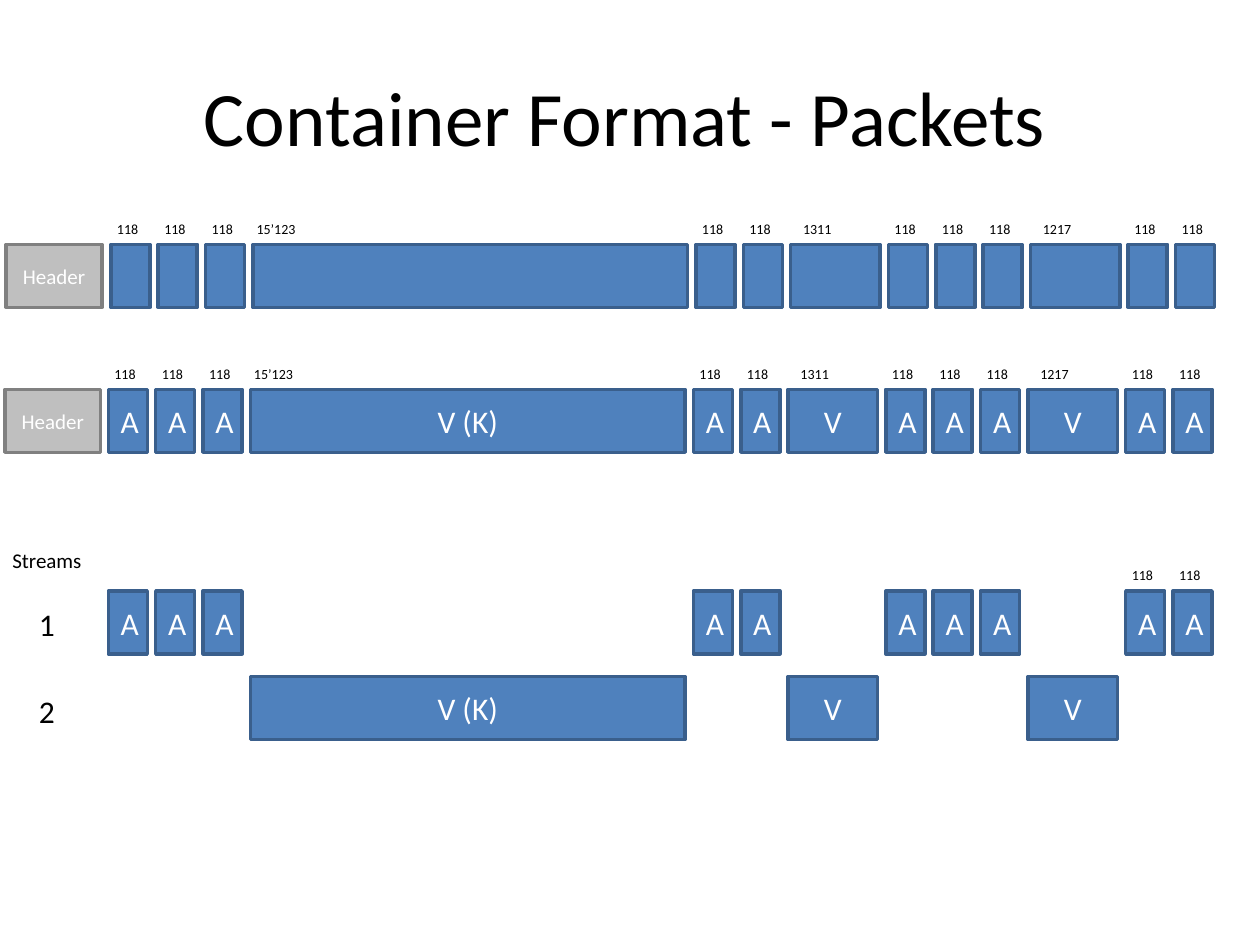
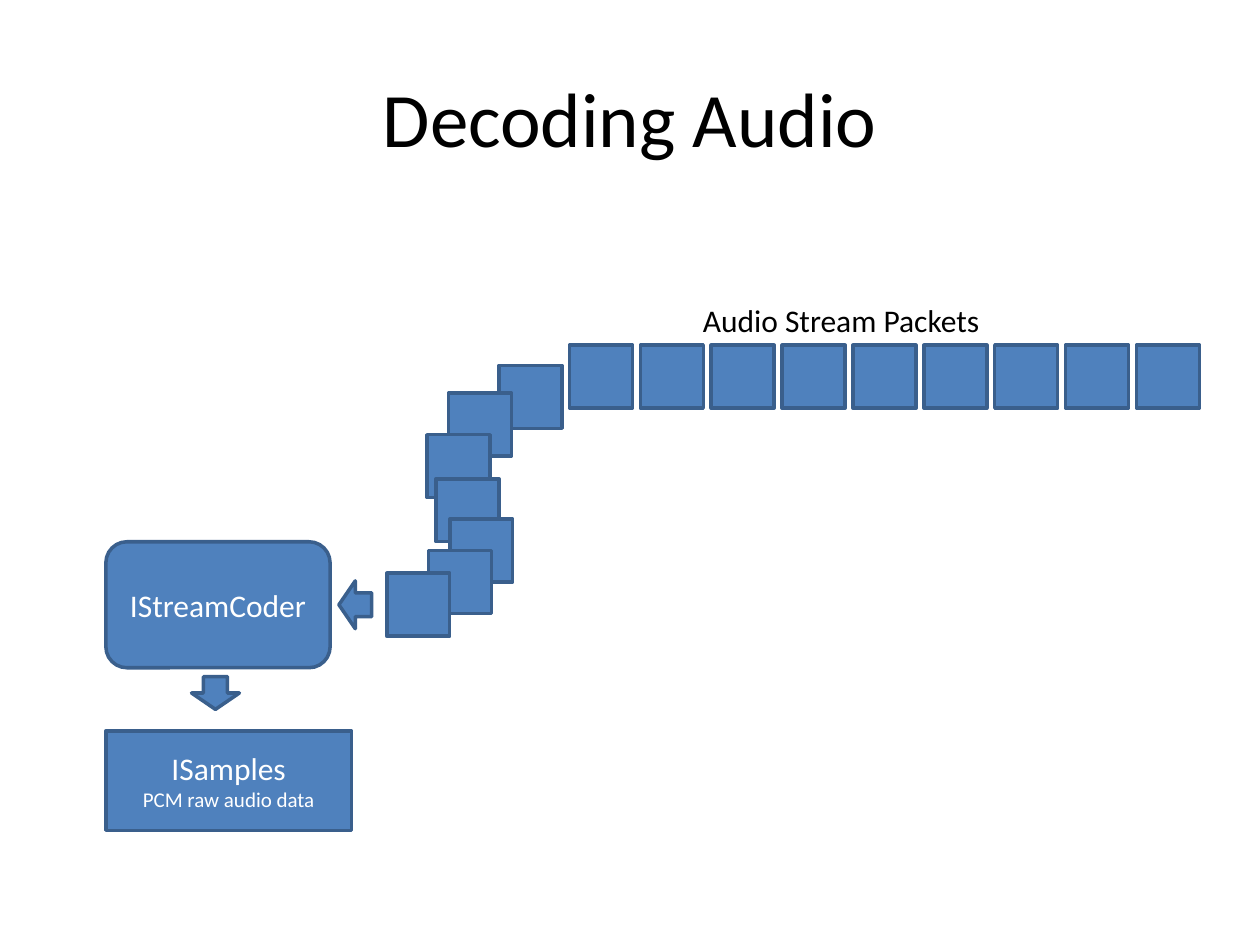
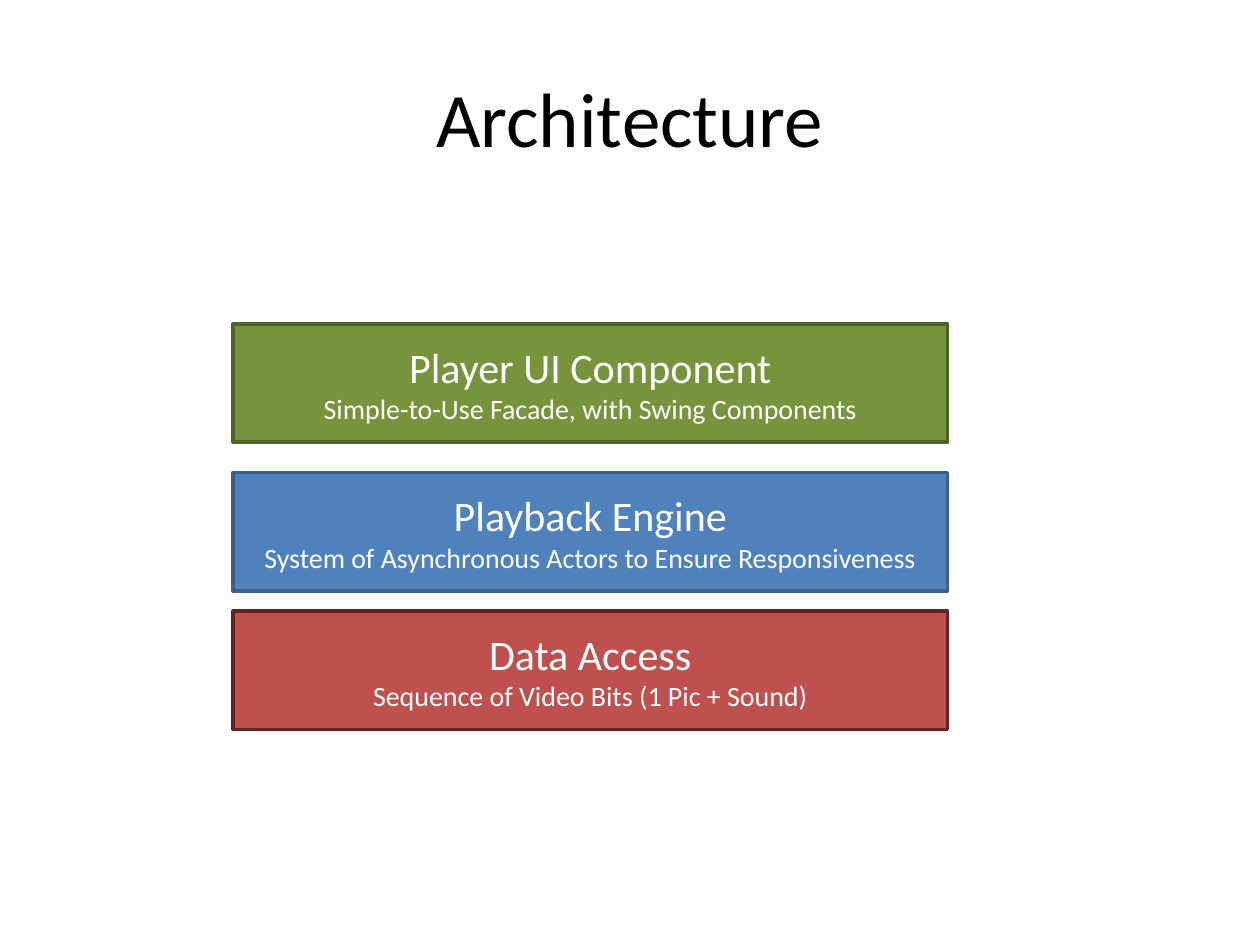
"""Builds three slides on media containers, audio decoding and player architecture."""
from pptx import Presentation
from pptx.dml.color import RGBColor
from pptx.enum.shapes import MSO_SHAPE
from pptx.enum.text import MSO_ANCHOR, MSO_AUTO_SIZE, PP_ALIGN
from pptx.util import Inches, Pt

FONT = "Calibri"
BLACK = RGBColor(0x00, 0x00, 0x00)
WHITE = RGBColor(0xFF, 0xFF, 0xFF)
BLUE = RGBColor(0x4F, 0x81, 0xBD)
DARK_BLUE = RGBColor(0x3A, 0x5F, 0x8C)
SILVER = RGBColor(0xBF, 0xBF, 0xBF)
GRAY = RGBColor(0x80, 0x80, 0x80)
GREEN = RGBColor(0x77, 0x93, 0x3C)
DARK_GREEN = RGBColor(0x4F, 0x62, 0x28)
RED = RGBColor(0xC0, 0x50, 0x4D)
DARK_RED = RGBColor(0x63, 0x25, 0x23)


def write(holder, *lines, sizes=(18,), color=BLACK, align=PP_ALIGN.CENTER,
          anchor=MSO_ANCHOR.MIDDLE, wrap=True):
    frame = holder.text_frame
    frame.word_wrap = wrap
    frame.vertical_anchor = anchor
    frame.auto_size = MSO_AUTO_SIZE.NONE if wrap else MSO_AUTO_SIZE.SHAPE_TO_FIT_TEXT
    frame.text = "\n".join(lines)
    for paragraph, size in zip(frame.paragraphs, sizes):
        paragraph.alignment = align
        font = paragraph.runs[0].font
        font.name, font.size, font.color.rgb = FONT, Pt(size), color


def add_block(slide, left, top, width, height, *lines, sizes=(18,),
              kind=MSO_SHAPE.RECTANGLE, fill=BLUE, line=DARK_BLUE):
    block = slide.shapes.add_shape(kind, Inches(left), Inches(top), Inches(width), Inches(height))
    block.shadow.inherit = False
    block.fill.solid()
    block.fill.fore_color.rgb = fill
    block.line.color.rgb = line
    block.line.width = Pt(2)
    if lines:
        write(block, *lines, sizes=sizes, color=WHITE)
    return block


deck = Presentation()
deck.slide_width, deck.slide_height = Inches(10), Inches(7.5)

slides = []
for heading, left, top in [("Container Format - Packets", 0.46, 0.29),
                           ("Decoding Audio", 0.5, 0.3),
                           ("Architecture", 0.5, 0.3)]:
    slide = deck.slides.add_slide(deck.slide_layouts[5])
    title = slide.shapes.title
    title.left, title.top = Inches(left), Inches(top)
    title.width, title.height = Inches(9), Inches(1.25)
    write(title, heading, sizes=(44,))
    slides.append(slide)
packets, decoding, architecture = slides

PACKET_HEIGHT = 0.5
PACKET_WIDTHS = {"A": 0.31, "V": 0.71, "V (K)": 3.45}
LABEL_WIDTHS = {"A": 0.37, "V": 0.43, "V (K)": 0.51}
LABEL_SHIFTS = {"A": -0.05, "V": 0, "V (K)": -0.07}
sequence = [("A", "118"), ("A", "118"), ("A", "118"), ("V (K)", "15’123"),
            ("A", "118"), ("A", "118"), ("V", "1311"),
            ("A", "118"), ("A", "118"), ("A", "118"), ("V", "1217"),
            ("A", "118"), ("A", "118")]
first_left, last_left = 0.88, 9.33
used = sum(PACKET_WIDTHS[kind] for kind, _ in sequence[:-1])
gap = (last_left - first_left - used) / (len(sequence) - 1)

rows = [
    {"shift": 0, "tops": {"A": 1.94, "V": 1.94}, "named": False, "labels_from": 0},
    {"shift": -0.02, "tops": {"A": 3.09, "V": 3.09}, "named": True, "labels_from": 0},
    {"shift": -0.02, "tops": {"A": 4.69, "V": 5.37}, "named": True, "labels_from": 11},
]
for row in rows:
    left = first_left + row["shift"]
    for index, (kind, byte_count) in enumerate(sequence):
        top = row["tops"][kind[0]]
        names = [kind] if row["named"] else []
        add_block(packets, left, top, PACKET_WIDTHS[kind], PACKET_HEIGHT, *names)
        if index >= row["labels_from"]:
            label = packets.shapes.add_textbox(
                Inches(left + LABEL_SHIFTS[kind]), Inches(top - 0.24),
                Inches(LABEL_WIDTHS[kind]), Inches(0.24))
            write(label, byte_count, sizes=(8,), align=PP_ALIGN.LEFT,
                  anchor=MSO_ANCHOR.TOP, wrap=False)
        left += PACKET_WIDTHS[kind] + gap

for left, top in [(0.05, 1.94), (0.04, 3.09)]:
    add_block(packets, left, top, 0.76, PACKET_HEIGHT, "Header", sizes=(12,),
              fill=SILVER, line=GRAY)

for slide, caption, left, top, width, height, size in [
        (packets, "Streams", 0, 4.3, 0.76, 0.3, 12),
        (packets, "1", 0.21, 4.75, 0.33, 0.4, 18),
        (packets, "2", 0.21, 5.44, 0.33, 0.4, 18),
        (decoding, "Audio Stream Packets", 5.48, 2.34, 2.42, 0.4, 18)]:
    label = slide.shapes.add_textbox(Inches(left), Inches(top), Inches(width), Inches(height))
    write(label, caption, sizes=(size,), align=PP_ALIGN.LEFT, anchor=MSO_ANCHOR.TOP, wrap=False)

queue = [(4.52 + 4.5 / 8 * step, 2.74) for step in range(9)]
falling = [(3.96, 2.9), (3.56, 3.12), (3.39, 3.45), (3.46, 3.8),
           (3.57, 4.12), (3.4, 4.37), (3.07, 4.55)]
for left, top in queue + falling:
    add_block(decoding, left, top, 0.5, 0.5)

add_block(decoding, 0.84, 4.3, 1.78, 1, "IStreamCoder", kind=MSO_SHAPE.ROUNDED_RECTANGLE)
add_block(decoding, 0.84, 5.8, 1.95, 0.79, "ISamples", "PCM raw audio data", sizes=(18, 12))
for left, top, rotation in [(2.69, 4.61, 0), (1.58, 5.31, 270)]:
    arrow = add_block(decoding, left, top, 0.26, 0.38, kind=MSO_SHAPE.LEFT_ARROW)
    arrow.rotation = rotation

for top, layer, purpose, fill, line in [
        (2.57, "Player UI Component", "Simple-to-Use Facade, with Swing Components",
         GREEN, DARK_GREEN),
        (3.75, "Playback Engine", "System of Asynchronous Actors to Ensure Responsiveness",
         BLUE, DARK_BLUE),
        (4.85, "Data Access", "Sequence of Video Bits (1 Pic + Sound)", RED, DARK_RED)]:
    add_block(architecture, 1.85, top, 5.67, 0.94, layer, purpose, sizes=(24, 16),
              fill=fill, line=line)

deck.save("out.pptx")
